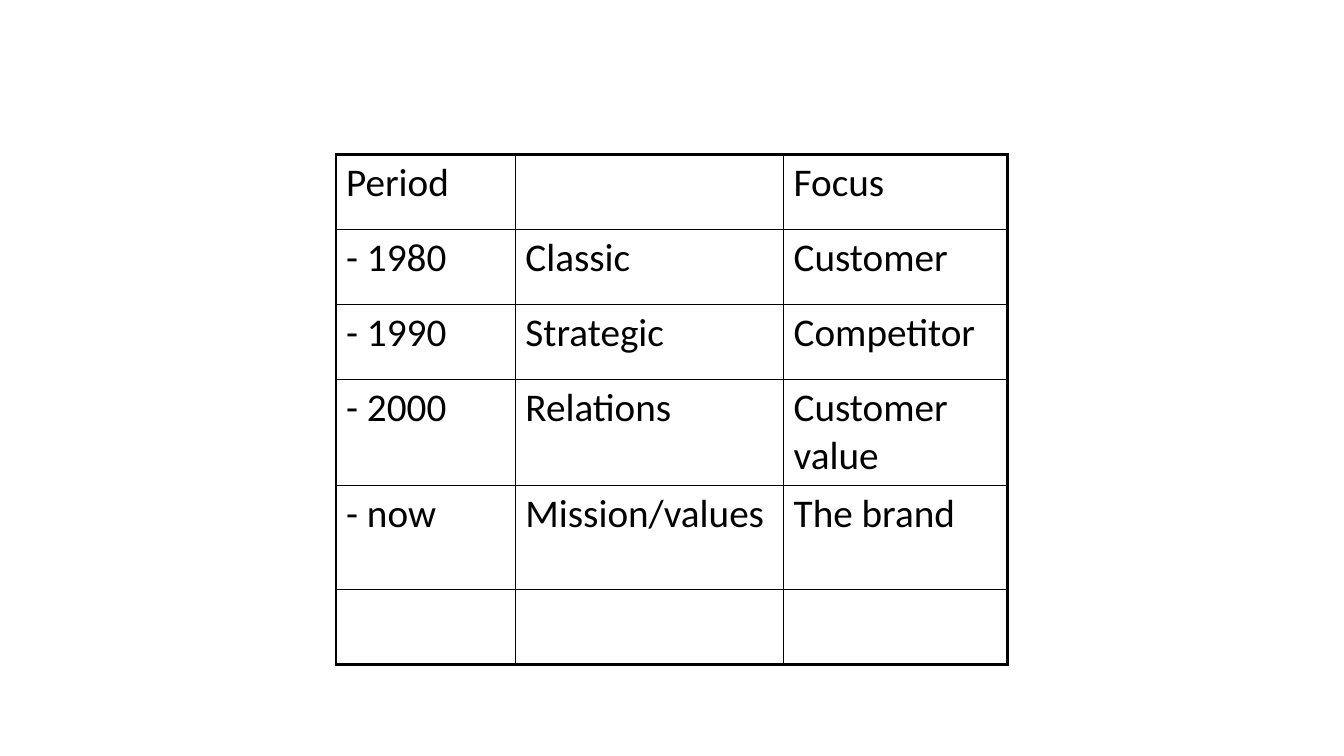
import pptx
import pptx.util
import pptx.dml.color
import pptx.oxml.ns
import lxml.etree

PERIODS = [
    ("Period", "", "Focus"),
    ("- 1980", "Classic", "Customer"),
    ("- 1990", "Strategic", "Competitor"),
    ("- 2000", "Relations", "Customer value"),
    ("- now", "Mission/values", "The brand"),
    ("", "", ""),
]
COLUMN_WIDTHS = [4.52, 6.76, 5.64]
ROW_HEIGHTS = [1.89, 1.89, 1.89, 1.89, 2.62, 1.89]
TABLE_LEFT, TABLE_TOP = 8.47, 3.89
COLORS = {"text": "000000", "border": "000000", "cell": "FFFFFF"}
OUTER_LINE, INNER_LINE = 2.25, 1

Cm = pptx.util.Cm


def write_text(frame, text, font="Calibri", size=28, color="text"):
    paragraph = frame.paragraphs[0]
    run = paragraph.add_run()
    run.text = text
    run.font.name = font
    run.font.size = pptx.util.Pt(size)
    run.font.bold = False
    run.font.color.rgb = pptx.dml.color.RGBColor.from_string(COLORS[color])


def add_border(cell, side, points):
    qn = pptx.oxml.ns.qn
    properties = cell._tc.get_or_add_tcPr()
    line = lxml.etree.SubElement(properties, qn(f"a:ln{side}"), w=str(pptx.util.Pt(points)))
    fill = lxml.etree.SubElement(line, qn("a:solidFill"))
    lxml.etree.SubElement(fill, qn("a:srgbClr"), val=COLORS["border"])


def format_cell(cell, row, column):
    outer_sides = {
        "L": column == 0,
        "R": column == len(COLUMN_WIDTHS) - 1,
        "T": row == 0,
        "B": row == len(ROW_HEIGHTS) - 1,
    }
    for side, is_outer in outer_sides.items():
        add_border(cell, side, OUTER_LINE if is_outer else INNER_LINE)
    cell.fill.solid()
    cell.fill.fore_color.rgb = pptx.dml.color.RGBColor.from_string(COLORS["cell"])


def main():
    presentation = pptx.Presentation()
    presentation.slide_width = Cm(33.87)
    presentation.slide_height = Cm(19.05)
    slide = presentation.slides.add_slide(presentation.slide_layouts[6])

    table = slide.shapes.add_table(
        len(PERIODS), len(COLUMN_WIDTHS), Cm(TABLE_LEFT), Cm(TABLE_TOP),
        Cm(sum(COLUMN_WIDTHS)), Cm(sum(ROW_HEIGHTS)),
    ).table
    table.first_row = False
    table.horz_banding = False
    for column, width in zip(table.columns, COLUMN_WIDTHS):
        column.width = Cm(width)
    for row, height in zip(table.rows, ROW_HEIGHTS):
        row.height = Cm(height)

    for row, texts in enumerate(PERIODS):
        for column, text in enumerate(texts):
            cell = table.cell(row, column)
            format_cell(cell, row, column)
            if text:
                write_text(cell.text_frame, text)

    presentation.save("out.pptx")


if __name__ == "__main__":
    main()
